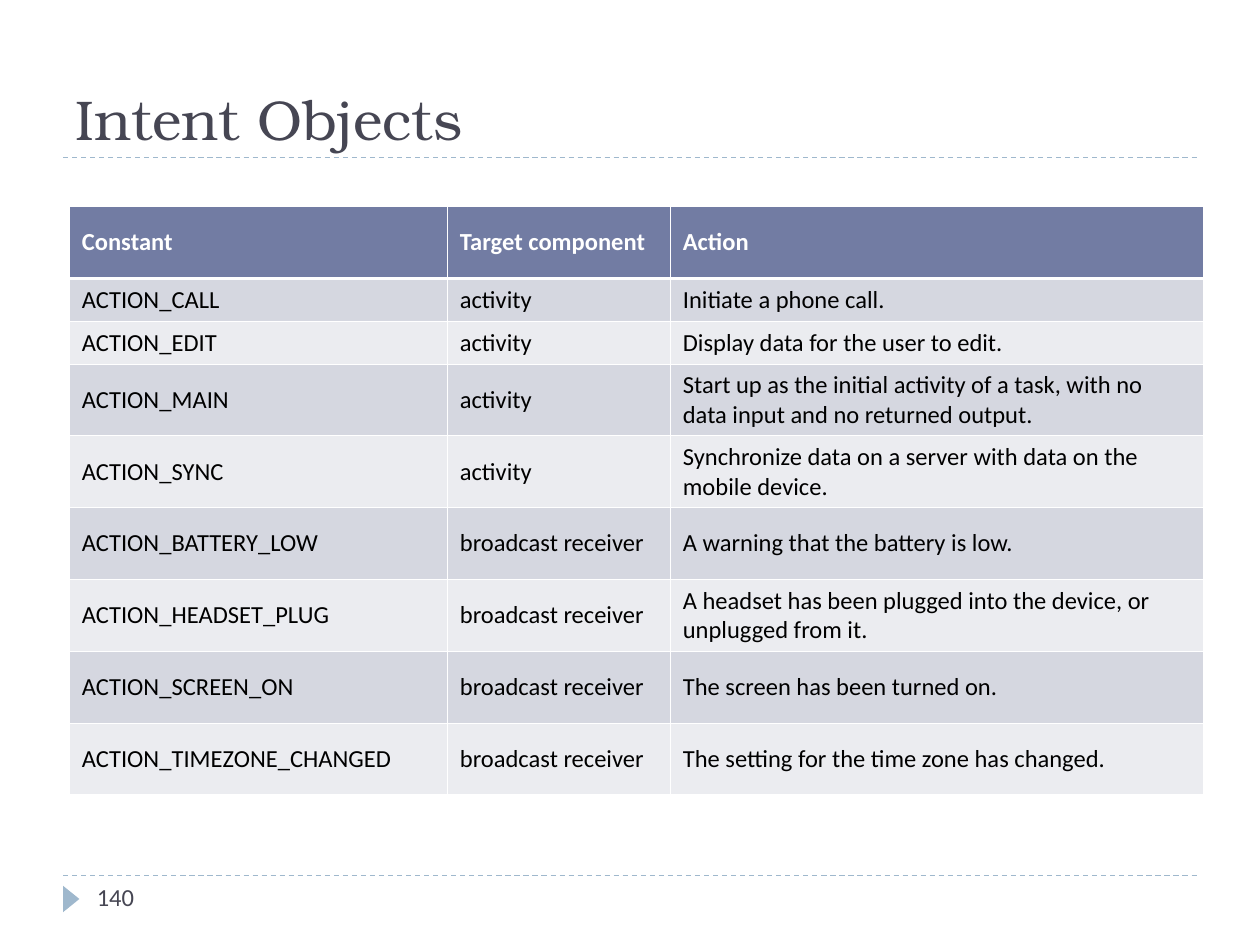
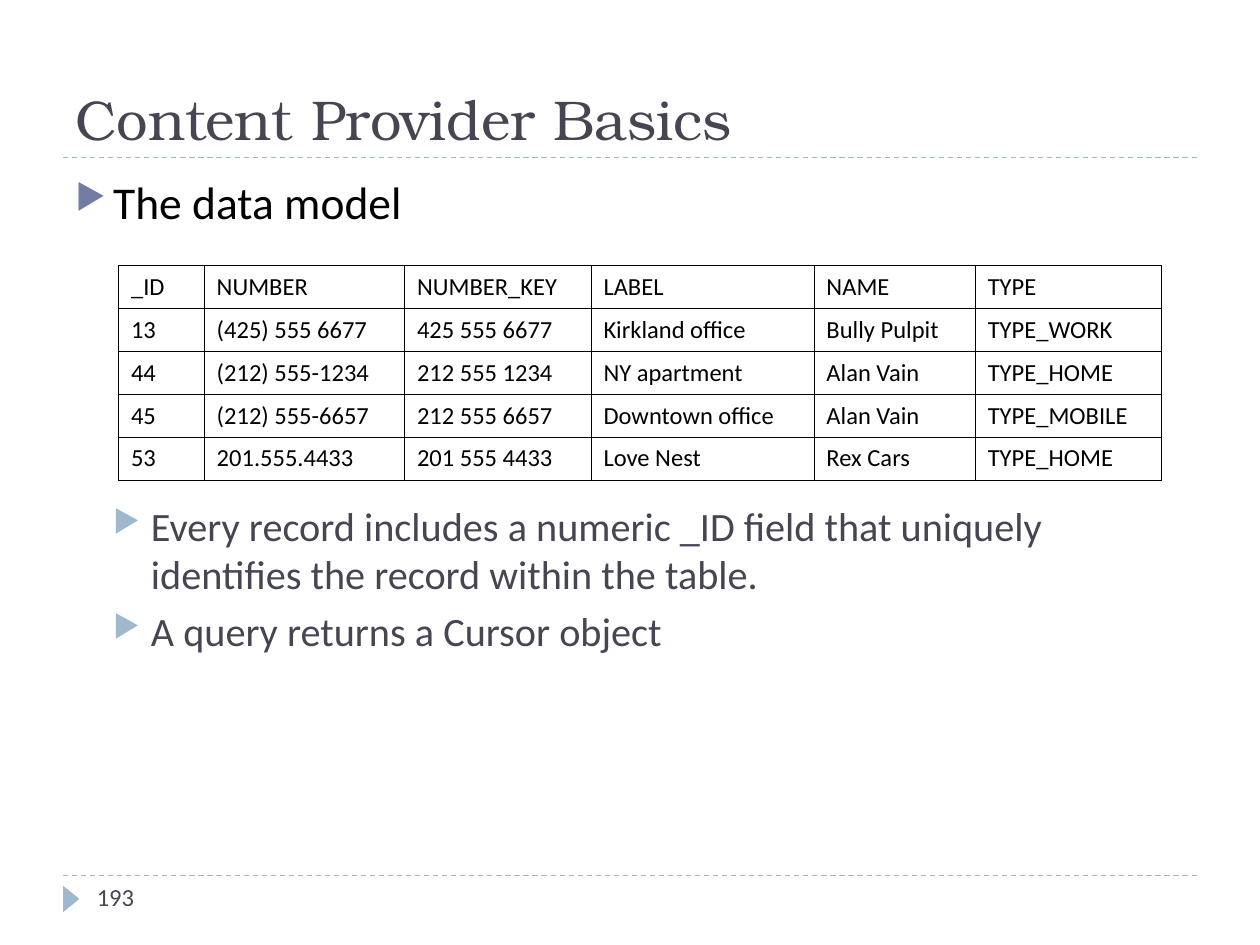
from dataclasses import dataclass
from lxml.etree import SubElement
from pptx import Presentation
from pptx.dml.color import RGBColor
from pptx.enum.dml import MSO_LINE
from pptx.enum.shapes import MSO_CONNECTOR, MSO_SHAPE
from pptx.enum.text import MSO_ANCHOR
from pptx.oxml import parse_xml
from pptx.oxml.ns import nsdecls, qn
from pptx.slide import Slide
from pptx.text.text import TextFrame
from pptx.util import Emu, Pt

SCALE = 9144
WHITE = RGBColor(0xFF, 0xFF, 0xFF)
BLACK = RGBColor(0x00, 0x00, 0x00)
SLATE = RGBColor(0x46, 0x46, 0x53)
SKY = RGBColor(0x9F, 0xB8, 0xCD)
INDIGO = RGBColor(0x72, 0x7C, 0xA3)
BANDS = (RGBColor(0xD5, 0xD7, 0xE0), RGBColor(0xEB, 0xEC, 0xF0))
SERIF = "TeX Gyre Bonum"
SANS = "Calibri"
THIN, THICK = 0.45, 1.47


@dataclass(frozen=True)
class Box:
    left: int
    top: int
    width: int
    height: int

    def emu(self) -> tuple[Emu, ...]:
        return tuple(map(px, (self.left, self.top, self.width, self.height)))


@dataclass(frozen=True)
class Grid:
    box: Box
    cols: tuple[int, ...]
    rows: tuple[int, ...]
    cells: tuple[tuple[str, ...], ...]
    edge: RGBColor
    banded: bool


@dataclass(frozen=True)
class Bullet:
    text: str
    level: int
    gap: int
    size: int
    color: RGBColor
    mark: RGBColor


INTENTS = Grid(
    Box(55, 164, 900, 467), (300, 177, 423), (57, 34, 34) + (57,) * 6,
    (
        ("Constant", "Target component", "Action"),
        ("ACTION_CALL", "activity", "Initiate a phone call."),
        ("ACTION_EDIT", "activity", "Display data for the user to edit."),
        ("ACTION_MAIN", "activity",
         "Start up as the initial activity of a task, with no data input and no returned output."),
        ("ACTION_SYNC", "activity",
         "Synchronize data on a server with data on the mobile device."),
        ("ACTION_BATTERY_LOW", "broadcast receiver", "A warning that the battery is low."),
        ("ACTION_HEADSET_PLUG", "broadcast receiver",
         "A headset has been plugged into the device, or unplugged from it."),
        ("ACTION_SCREEN_ON", "broadcast receiver", "The screen has been turned on."),
        ("ACTION_TIMEZONE_CHANGED", "broadcast receiver",
         "The setting for the time zone has changed."),
    ),
    WHITE, True,
)

RECORDS = Grid(
    Box(94, 211, 828, 170), (68, 159, 148, 177, 128, 148), (34,) * 5,
    (
        ("_ID", "NUMBER", "NUMBER_KEY", "LABEL", "NAME", "TYPE"),
        ("13", "(425) 555 6677", "425 555 6677", "Kirkland office", "Bully Pulpit", "TYPE_WORK"),
        ("44", "(212) 555-1234", "212 555 1234", "NY apartment", "Alan Vain", "TYPE_HOME"),
        ("45", "(212) 555-6657", "212 555 6657", "Downtown office", "Alan Vain", "TYPE_MOBILE"),
        ("53", "201.555.4433", "201 555 4433", "Love Nest", "Rex Cars", "TYPE_HOME"),
    ),
    BLACK, False,
)

POINTS = (
    Bullet("The data model", 0, 6, 26, BLACK, INDIGO),
    Bullet("Every record includes a numeric _ID field that uniquely identifies "
           "the record within the table.", 1, 156, 23, SLATE, SKY),
    Bullet("A query returns a Cursor object", 1, 5, 23, SLATE, SKY),
)


def px(size: int) -> Emu:
    return Emu(size * SCALE)


def write(frame: TextFrame, text: str, *, size: int = 14, color: RGBColor = BLACK,
          font: str = SANS, bold: bool = False, level: int = 0, gap: int = 0,
          mark: RGBColor | None = None) -> None:
    para = frame.paragraphs[0]
    if para.runs:
        para = frame.add_paragraph()
    para.level = level
    para.space_before = Pt(gap)
    run = para.add_run()
    run.text = text
    run.font.size = Pt(size)
    run.font.name = font
    run.font.bold = bold
    run.font.color.rgb = color
    if mark is not None:
        props = para._p.get_or_add_pPr()
        props.set("marL", str(px(30 * (level + 1))))
        props.set("indent", str(px(-30)))
        tint = SubElement(props, qn("a:buClr"))
        SubElement(tint, qn("a:srgbClr"), val=str(mark))
        SubElement(props, qn("a:buSzPct"), val="76000")
        SubElement(props, qn("a:buChar"), char="▶")


def add_text(slide: Slide, box: Box, anchor: MSO_ANCHOR = MSO_ANCHOR.TOP) -> TextFrame:
    frame = slide.shapes.add_textbox(*box.emu()).text_frame
    frame.word_wrap = True
    frame.vertical_anchor = anchor
    return frame


def add_rule(slide: Slide, top: int) -> None:
    rule = slide.shapes.add_connector(
        MSO_CONNECTOR.STRAIGHT, px(50), px(top), px(950), px(top))
    rule.line.color.rgb = SKY
    rule.line.width = Pt(0.75)
    rule.line.dash_style = MSO_LINE.DASH
    SubElement(rule._element.spPr, qn("a:effectLst"))


def add_frame(deck: Presentation, title: str, number: int) -> Slide:
    slide = deck.slides.add_slide(deck.slide_layouts[6])
    for top in (695, 125):
        add_rule(slide, top)
    arrow = slide.shapes.add_shape(
        MSO_SHAPE.ISOSCELES_TRIANGLE, *Box(46, 707, 21, 13).emu())
    arrow.rotation = 90
    arrow.shadow.inherit = False
    arrow.fill.solid()
    arrow.fill.fore_color.rgb = SKY
    arrow.line.fill.background()
    head = add_text(slide, Box(50, 17, 900, 108), MSO_ANCHOR.BOTTOM)
    write(head, title, size=32, color=SLATE, font=SERIF)
    foot = add_text(slide, Box(67, 695, 217, 40))
    write(foot, str(number), color=SLATE)
    return slide


def add_grid(slide: Slide, grid: Grid) -> None:
    table = slide.shapes.add_table(
        len(grid.rows), len(grid.cols), *grid.box.emu()).table
    table.first_row = table.horz_banding = grid.banded
    for col, width in zip(table.columns, grid.cols):
        col.width = px(width)
    for row, height in zip(table.rows, grid.rows):
        row.height = px(height)
    for r, texts in enumerate(grid.cells):
        head = grid.banded and r == 0
        for c, text in enumerate(texts):
            cell = table.cell(r, c)
            cell.vertical_anchor = MSO_ANCHOR.MIDDLE
            if grid.banded:
                cell.fill.solid()
                cell.fill.fore_color.rgb = INDIGO if head else BANDS[(r - 1) % 2]
            else:
                cell.fill.background()
            write(cell.text_frame, text, color=WHITE if head else BLACK, bold=head)
            props = cell._tc.get_or_add_tcPr()
            for spot, side in enumerate("LRTB"):
                thick = head and side == "B" or grid.banded and r == 1 and side == "T"
                width = Pt(THICK if thick else THIN)
                props.insert(spot, parse_xml(
                    f'<a:ln{side} {nsdecls("a")} w="{width}"><a:solidFill>'
                    f'<a:srgbClr val="{grid.edge}"/></a:solidFill></a:ln{side}>'))


def main() -> None:
    deck = Presentation()
    deck.slide_width, deck.slide_height = px(1000), px(750)
    add_grid(add_frame(deck, "Intent Objects", 140), INTENTS)
    slide = add_frame(deck, "Content Provider Basics", 193)
    body = add_text(slide, Box(50, 133, 900, 540))
    for point in POINTS:
        write(body, point.text, size=point.size, color=point.color,
              level=point.level, gap=point.gap, mark=point.mark)
    add_grid(slide, RECORDS)
    deck.save("out.pptx")


if __name__ == "__main__":
    main()
